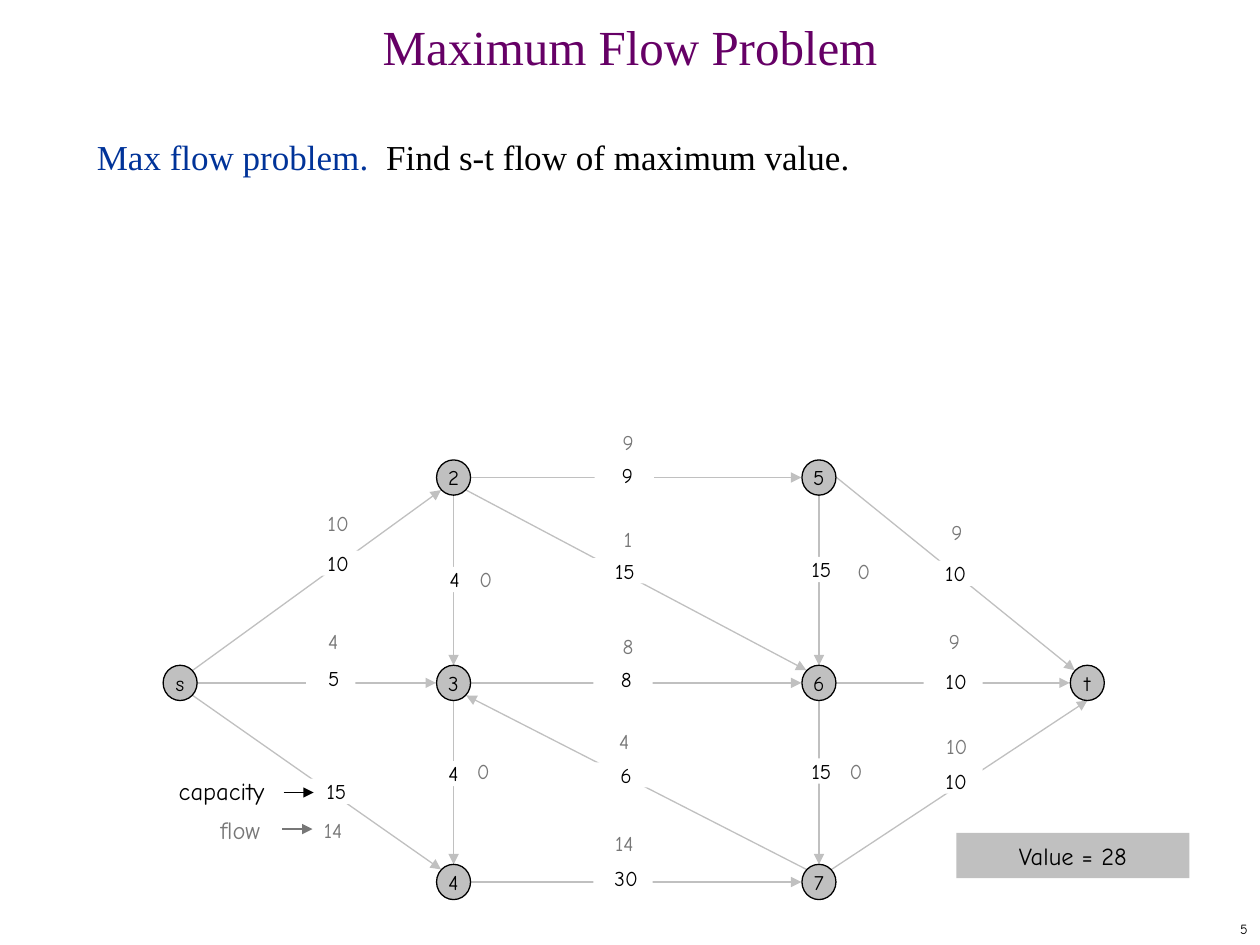
from dataclasses import dataclass

from lxml.etree import SubElement
from pptx import Presentation
from pptx.dml.color import RGBColor
from pptx.enum.shapes import MSO_CONNECTOR, MSO_SHAPE
from pptx.enum.text import MSO_ANCHOR, PP_ALIGN
from pptx.oxml.ns import qn
from pptx.util import Inches, Pt


@dataclass(frozen=True)
class Theme:
    serif: str = "Times New Roman"
    hand: str = "Comic Neue"
    title_size: float = 28
    body_size: float = 20
    note_size: float = 14
    label_size: float = 12
    number_size: float = 8
    line_width: float = 0.75
    purple: str = "660066"
    blue: str = "003399"
    black: str = "000000"
    white: str = "FFFFFF"
    silver: str = "C0C0C0"
    gray: str = "777777"


@dataclass(frozen=True)
class Edge:
    tail: str
    tail_site: str
    head: str
    head_site: str
    capacity: int
    capacity_at: tuple
    flow: int
    flow_at: tuple
    width: float = 0.47
    indent: float = 0.05


NODE_WIDTH, NODE_HEIGHT = 0.27, 0.28
NODES = {
    "s": (1.43, 5.42), "t": (8.63, 5.42),
    "2": (3.6, 3.79), "3": (3.6, 5.42), "4": (3.6, 7),
    "5": (6.5, 3.79), "6": (6.5, 5.42), "7": (6.5, 7),
}
# Offsets from a node's centre to the points where edges meet its rim
SITES = {
    "top": (0, -0.14), "bottom": (0, 0.14),
    "left": (-0.14, 0), "right": (0.14, 0),
    "top left": (-0.1, -0.1), "top right": (0.1, -0.1),
    "bottom left": (-0.1, 0.1), "bottom right": (0.1, 0.1),
}
EDGES = [
    Edge("s", "top right", "2", "bottom left", 10, (2.38, 4.37), 10, (2.5, 4.05), indent=0.14),
    Edge("s", "right", "3", "left", 5, (2.43, 5.28), 4, (2.46, 4.99), width=0.39),
    Edge("s", "bottom right", "4", "top left", 15, (2.41, 6.18), 14, (2.46, 6.49)),
    Edge("2", "bottom", "3", "top", 4, (3.35, 4.5), 0, (3.67, 4.5)),
    Edge("3", "bottom", "4", "top", 4, (3.34, 6.04), 0, (3.65, 6.02)),
    Edge("2", "right", "5", "left", 9, (4.72, 3.67), 9, (4.8, 3.41)),
    Edge("2", "bottom right", "6", "top left", 15, (4.7, 4.43), 1, (4.8, 4.18)),
    Edge("3", "right", "6", "left", 8, (4.71, 5.29), 8, (4.8, 5.03)),
    Edge("7", "top left", "3", "bottom right", 6, (4.71, 6.05), 4, (4.77, 5.78)),
    Edge("4", "right", "7", "left", 30, (4.71, 6.87), 14, (4.77, 6.59)),
    Edge("5", "bottom", "6", "top", 15, (6.26, 4.42), 0, (6.67, 4.43)),
    Edge("6", "bottom", "7", "top", 15, (6.26, 6.02), 0, (6.61, 6.02)),
    Edge("5", "right", "t", "top left", 10, (7.28, 4.45), 9, (7.41, 4.12), indent=0.14),
    Edge("6", "right", "t", "left", 10, (7.33, 5.31), 9, (7.39, 4.99)),
    Edge("7", "top right", "t", "bottom", 10, (7.33, 6.1), 10, (7.41, 5.82)),
]


def write(shape, *runs, font, size, align=PP_ALIGN.CENTER, anchor=MSO_ANCHOR.TOP,
          margins=(0.1, 0.05, 0.1, 0.05), wrap=True, spacing=None):
    """Fill a shape with one paragraph of (text, colour) runs."""
    frame = shape.text_frame
    frame.word_wrap = wrap
    frame.vertical_anchor = anchor
    (frame.margin_left, frame.margin_top,
     frame.margin_right, frame.margin_bottom) = map(Inches, margins)
    paragraph = frame.paragraphs[0]
    paragraph.alignment = align
    if spacing is not None:
        paragraph.line_spacing = spacing
    for text, color in runs:
        run = paragraph.add_run()
        run.text = text
        run.font.name = font
        run.font.size = Pt(size)
        run.font.color.rgb = RGBColor.from_string(color)


class FlowSlide:
    def __init__(self, slide, theme):
        self.slide = slide
        self.theme = theme

    def text(self, box, *runs, **style):
        shape = self.slide.shapes.add_textbox(*map(Inches, box))
        write(shape, *runs, **style)

    def block(self, kind, box, fill, text, outline=None, **style):
        shape = self.slide.shapes.add_shape(kind, *map(Inches, box))
        shape.shadow.inherit = False
        shape.fill.solid()
        shape.fill.fore_color.rgb = RGBColor.from_string(fill)
        if outline:
            shape.line.color.rgb = RGBColor.from_string(outline)
            shape.line.width = Pt(self.theme.line_width)
        else:
            shape.line.fill.background()
        write(shape, (text, self.theme.black), font=self.theme.hand, **style)

    def arrow(self, start, end, color):
        connector = self.slide.shapes.add_connector(
            MSO_CONNECTOR.STRAIGHT, *map(Inches, (*start, *end)))
        connector.line.color.rgb = RGBColor.from_string(color)
        connector.line.width = Pt(self.theme.line_width)
        properties = connector.line._get_or_add_ln()
        SubElement(properties, qn("a:tailEnd"), type="triangle")
        SubElement(connector._element.spPr, qn("a:effectLst"))

    def node(self, name):
        x, y = NODES[name]
        box = (x - NODE_WIDTH / 2, y - NODE_HEIGHT / 2, NODE_WIDTH, NODE_HEIGHT)
        self.block(MSO_SHAPE.OVAL, box, self.theme.silver, name, outline=self.theme.black,
                   size=self.theme.label_size, anchor=MSO_ANCHOR.MIDDLE, wrap=False)

    def edge(self, edge):
        start, end = (
            tuple(center + offset for center, offset in zip(NODES[name], SITES[site]))
            for name, site in ((edge.tail, edge.tail_site), (edge.head, edge.head_site)))
        self.arrow(start, end, self.theme.silver)

    def edge_labels(self, edge):
        theme = self.theme
        self.block(MSO_SHAPE.RECTANGLE, (*edge.capacity_at, edge.width, 0.2), theme.white,
                   str(edge.capacity), size=theme.label_size, margins=(edge.indent, 0, 0, 0))
        self.text((*edge.flow_at, 0.37, 0.19), (str(edge.flow), theme.gray),
                  font=theme.hand, size=theme.label_size, margins=(0, 0, 0, 0))


def main():
    presentation = Presentation()
    presentation.slide_width = Inches(10)
    presentation.slide_height = Inches(7.5)
    theme = Theme()
    page = FlowSlide(presentation.slides.add_slide(presentation.slide_layouts[6]), theme)

    page.text((0, 0.17, 10, 0.5), ("Maximum Flow Problem", theme.purple),
              font=theme.serif, size=theme.title_size, anchor=MSO_ANCHOR.MIDDLE, spacing=0.7)
    page.text((0.67, 1, 8.58, 5.92), ("Max flow problem.  ", theme.blue),
              ("Find s-t flow of maximum value.", theme.black),
              font=theme.serif, size=theme.body_size, align=PP_ALIGN.LEFT, spacing=Pt(26))

    for edge in EDGES:
        page.edge(edge)
    for name in NODES:
        page.node(name)
    for edge in EDGES:
        page.edge_labels(edge)

    legend = [
        ("capacity", theme.black, (1.32, 6.11, 0.88, 0.33), (2.25, 6.29)),
        ("flow", theme.gray, (1.65, 6.42, 0.52, 0.33), (2.24, 6.58)),
    ]
    for word, color, box, (x, y) in legend:
        page.text(box, (word, color), font=theme.hand, size=theme.note_size,
                  align=PP_ALIGN.LEFT, wrap=False)
        page.arrow((x, y), (x + 0.24, y), color)

    page.block(MSO_SHAPE.RECTANGLE, (7.59, 6.61, 1.85, 0.36), theme.silver, "Value = 28",
               size=theme.note_size, anchor=MSO_ANCHOR.MIDDLE, margins=(0.1, 0.1, 0.1, 0.1))
    page.text((7.92, 7.25, 2.08, 0.25), ("5", theme.black), font=theme.hand,
              size=theme.number_size, align=PP_ALIGN.RIGHT, anchor=MSO_ANCHOR.MIDDLE)

    presentation.save("out.pptx")


if __name__ == "__main__":
    main()
